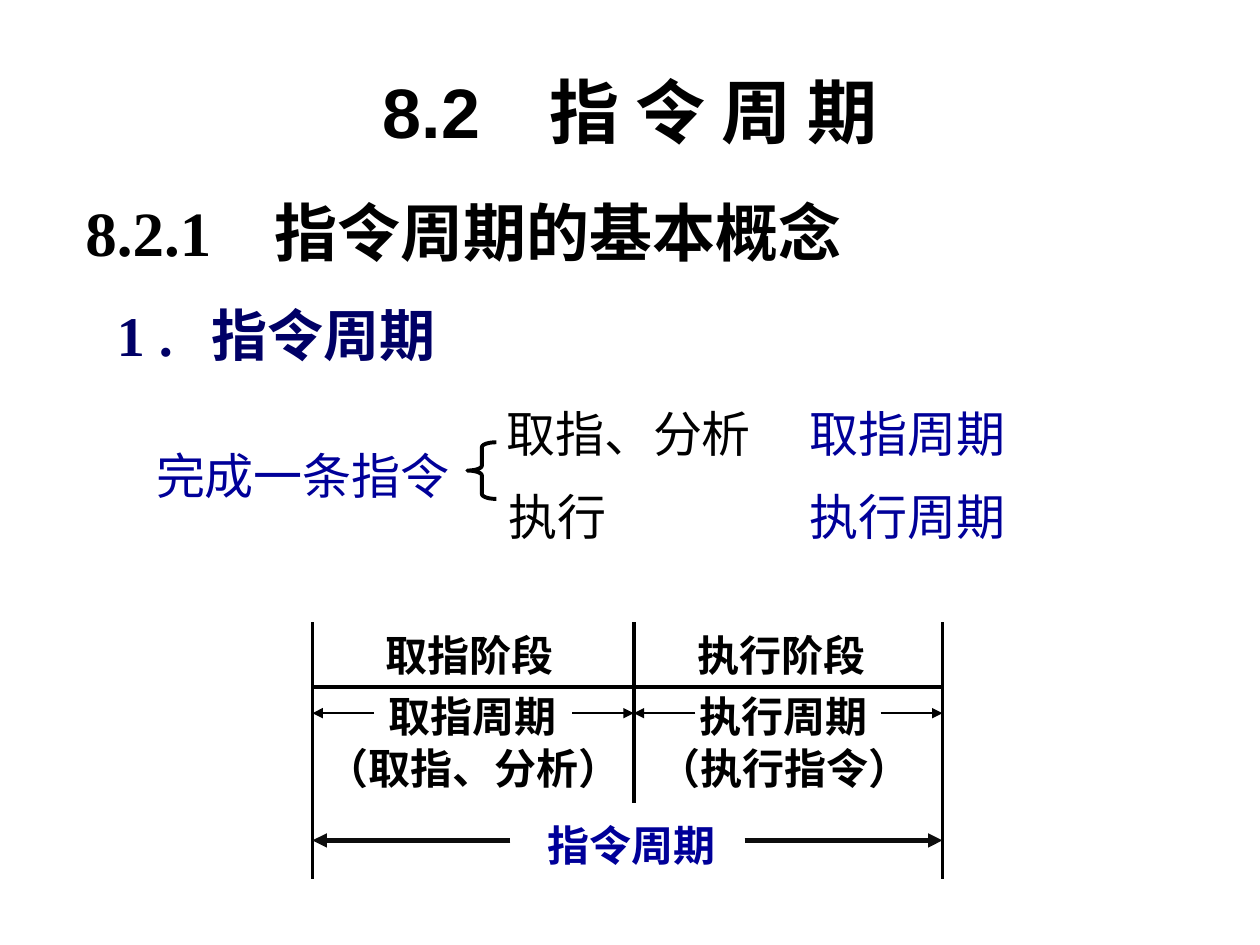
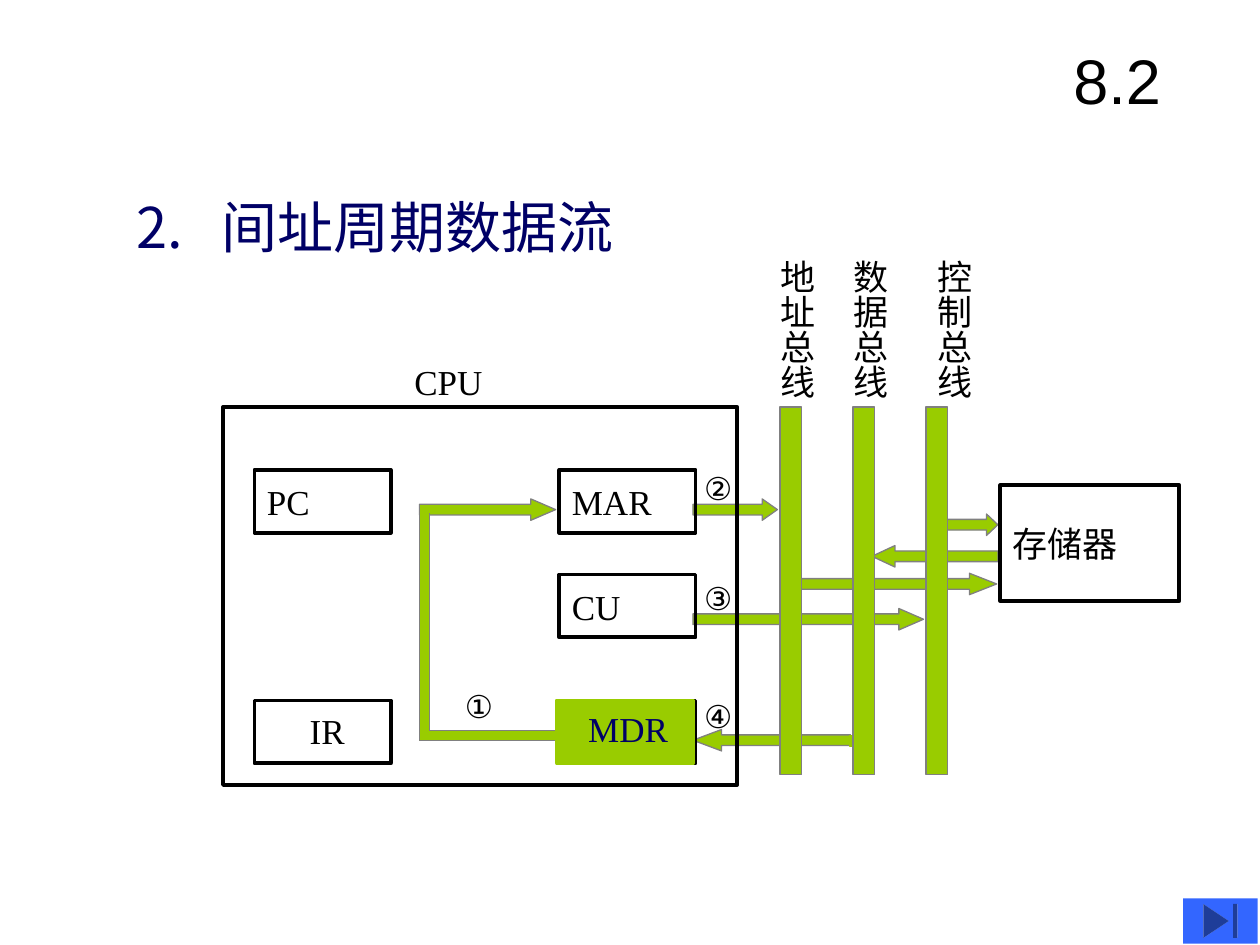
import pptx
import pptx.dml.color
import pptx.enum.shapes
import pptx.enum.text
import pptx.oxml
import pptx.oxml.ns
import pptx.util
from lxml import etree

Inches = pptx.util.Inches
Pt = pptx.util.Pt
SHAPE = pptx.enum.shapes.MSO_SHAPE
ALIGN = pptx.enum.text.PP_ALIGN
ANCHOR = pptx.enum.text.MSO_ANCHOR

BLACK, INK, NAVY, BLUE = "000000", "0D0D0D", "000066", "000099"
GREEN, GRAY, BRIGHT = "99CC00", "808080", "3366FF"
SERIF, SANS, HAN = "Times New Roman", "Arial", "Noto Sans CJK SC"
LEADING = 1.21
THIN, THICK = 0.75, 2.25


def color(code):
    return pptx.dml.color.RGBColor.from_string(code)


def child(parent, tag, **attrs):
    return etree.SubElement(parent, pptx.oxml.ns.qn(tag), attrs)


def write(shape, text, size=20, font=SERIF, ink=BLACK, bold=False,
          align=ALIGN.LEFT, anchor=ANCHOR.TOP, side=0.1, edge=0.05, tab=None):
    """Fill a shape with one formatted line; tab is a stop in inches."""
    frame = shape.text_frame
    frame.word_wrap = True
    frame.auto_size = pptx.enum.text.MSO_AUTO_SIZE.NONE
    frame.vertical_anchor = anchor
    frame.margin_left = frame.margin_right = Inches(side)
    frame.margin_top = frame.margin_bottom = Inches(edge)
    para = frame.paragraphs[0]
    para.alignment = align
    para.line_spacing = Pt(size * LEADING)
    if tab:
        stops = child(para._p.get_or_add_pPr(), "a:tabLst")
        child(stops, "a:tab", pos=str(Inches(tab)), algn="l")
    run = para.add_run()
    run.text = text
    run.font.size = Pt(size)
    run.font.bold = bold
    run.font.color.rgb = color(ink)
    run.font.name = font
    child(run._r.get_or_add_rPr(), "a:ea", typeface=HAN)
    return shape


def label(slide, text, box, **style):
    return write(slide.shapes.add_textbox(*map(Inches, box)), text, **style)


def title(slide, text, box, **style):
    shape = slide.shapes.title
    shape.left, shape.top, shape.width, shape.height = map(Inches, box)
    return write(shape, text, **style)


def block(slide, kind, box, fill=None, line=None, width=THIN, adjust=(), turn=0):
    """Add a preset shape; no fill or line colour means none is drawn."""
    shape = slide.shapes.add_shape(kind, *map(Inches, box))
    shape.shadow.inherit = False
    shape.rotation = turn
    for index, value in enumerate(adjust):
        shape.adjustments[index] = value
    if fill:
        shape.fill.solid()
        shape.fill.fore_color.rgb = color(fill)
    else:
        shape.fill.background()
    if line:
        shape.line.color.rgb = color(line)
        shape.line.width = Pt(width)
    else:
        shape.line.fill.background()
    return shape


def rule(slide, start, end, ink=BLACK, width=THICK, arrow=False):
    line = slide.shapes.add_connector(
        pptx.enum.shapes.MSO_CONNECTOR.STRAIGHT, *map(Inches, start + end))
    line.line.color.rgb = color(ink)
    line.line.width = Pt(width)
    if arrow:
        child(line.line._get_or_add_ln(), "a:tailEnd", type="triangle")
    child(line._element.spPr, "a:effectLst")


def steps(slide, x, y):
    """Brace that splits an instruction into its two steps."""
    label(slide, "完成一条指令", (x, y + 0.33, 3, 0.57), size=28, ink=BLUE)
    block(slide, SHAPE.LEFT_BRACE, (x + 2.57, y + 0.36, 0.23, 0.45),
          line=BLACK, width=THICK, adjust=(0.17, 0.5))
    rows = [("取指、分析", "取指周期", 2.78), ("执行", "执行周期", 2.8)]
    for index, (step, cycle, shift) in enumerate(rows):
        top = y + index * 0.66
        label(slide, step, (x + shift, top, 2.17, 0.57), size=28)
        label(slide, cycle, (x + 5.19, top, 2, 0.57), size=28, ink=BLUE)


def timing(slide, x, y):
    """Time line of the fetch and execute phases."""
    wide, mid, tall = 5, 2.55, 2.04
    style = dict(size=24, bold=True, align=ALIGN.CENTER, side=0.05)
    phases = [("取指阶段", "取指周期", "（取指、分析）", 1.26, 0, mid),
              ("执行阶段", "执行周期", "（执行指令）", 3.73, mid, wide)]
    for phase, cycle, detail, center, left, right in phases:
        for text, shift, drop, width in ((phase, -0.01, 0, 1.53),
                                         (cycle, 0.01, 0.49, 1.53),
                                         (detail, 0.02, 0.9, 2.53)):
            box = (x + center + shift - width / 2, y + drop, width, 0.5)
            label(slide, text, box, **style)
        for tip, tail in ((left, left + 0.49), (right, right - 0.49)):
            rule(slide, (x + tail, y + 0.72), (x + tip, y + 0.72),
                 width=THIN, arrow=True)
    rule(slide, (x, y + 0.51), (x + wide, y + 0.51))
    for shift, height in ((0, tall), (mid, 1.43), (wide, tall)):
        rule(slide, (x + shift, y), (x + shift, y + height))
    label(slide, "指令周期", (x + 1.77, y + 1.51, 1.53, 0.5), ink=BLUE, **style)
    for tail, tip in ((wide - 1.57, wide), (1.57, 0)):
        rule(slide, (x + tail, y + 1.73), (x + tip, y + 1.73),
             ink=INK, width=2.75, arrow=True)


def flows(slide, x, y):
    """Green arrows that carry data between registers, buses and memory."""
    arrows = [(5.15, 1.1, 1, 1.07, 180), (3.73, 1.6, 1.83, 1.15, 0),
              (3.73, 0.73, 0.67, 0.71, 0), (4.56, 1.32, 1.58, 1.27, 0),
              (3.73, 2.56, 1.25, 1.33, 180), (1.56, 0.73, 1.08, 1.16, 0),
              (5.65, 0.85, 0.5, 0.53, 0)]
    for left, top, width, head, turn in arrows:
        block(slide, SHAPE.RIGHT_ARROW, (x + left, y + top, width, 0.17),
              GREEN, GRAY, adjust=(0.5, head), turn=turn)
    parts = [(1.56, 2.57, 1.08, 0.08, GRAY), (1.56, 0.82, 0.08, 1.83, GRAY),
             (1.59, 2.58, 0.06, 0.06, GREEN), (1.57, 0.78, 0.14, 0.06, GREEN),
             (4.54, 1.36, 0.05, 0.08, GREEN), (4.97, 2.61, 0.05, 0.08, GREEN)]
    for left, top, width, height, line in parts:
        block(slide, SHAPE.RECTANGLE, (x + left, y + top, width, height),
              GREEN, line)


def buses(slide, x, y):
    names = [("地址总线", -0.18), ("数据总线", -0.18), ("控制总线", -0.09)]
    for index, (name, shift) in enumerate(names):
        left = x + index * 0.58
        block(slide, SHAPE.RECTANGLE, (left, y, 0.17, 2.92), GREEN, GRAY)
        text = label(slide, name, (left + shift, y - 1.17, 0.53, 1.22),
                     align=ALIGN.CENTER, side=0.05, edge=0)
        text.text_frame._txBody.bodyPr.set("vert", "eaVert")


def chip(slide, x, y):
    """Processor frame with its registers, and the memory beside it."""
    cells = [(None, 0, 0, 4.08, 3), ("PC", 0.25, 0.5, 1.08, 0.5),
             (None, 0.25, 2.33, 1.08, 0.5), ("MAR", 2.67, 0.5, 1.08, 0.5),
             ("CU", 2.67, 1.33, 1.08, 0.5), (None, 2.67, 2.33, 1.08, 0.5),
             ("存储器", 6.17, 0.62, 1.42, 0.92)]
    for name, left, top, width, height in cells:
        cell = block(slide, SHAPE.RECTANGLE, (x + left, y + top, width, height),
                     line=BLACK, width=THICK)
        if name:
            write(cell, name, anchor=ANCHOR.MIDDLE)
    label(slide, "CPU", (x + 1.42, y - 0.42, 0.74, 0.44))
    label(slide, "IR", (x + 0.59, y + 2.35, 0.48, 0.44))
    block(slide, SHAPE.RECTANGLE, (x + 2.65, y + 2.33, 1.08, 0.5),
          GREEN, GREEN, THICK)
    active = block(slide, SHAPE.RECTANGLE, (x + 2.8, y + 2.33, 0.83, 0.44),
                   GREEN, GREEN)
    write(active, "MDR", ink=NAVY, align=ALIGN.CENTER, side=0)


def marks(slide, x, y):
    """Numbers that give the order of the flows."""
    for text, left, top in (("①", 1.82, 2.17), ("②", 3.72, 0.44),
                            ("③", 3.72, 1.31), ("④", 3.72, 2.25)):
        label(slide, text, (x + left, y + top, 0.45, 0.4), size=18, font=SANS)


def concept(slide):
    title(slide, "8.2　指 令 周 期", (0.75, 0.25, 8.5, 1.25), size=40, font=SANS,
          bold=True, align=ALIGN.CENTER, anchor=ANCHOR.MIDDLE)
    label(slide, "8.2.1\t指令周期的基本概念", (0.58, 1.48, 6.25, 0.7),
          size=36, bold=True, tab=1.5)
    label(slide, "1 .\t指令周期", (0.83, 2.33, 6.25, 0.64),
          size=32, ink=NAVY, bold=True, tab=0.75)
    steps(slide, 1.14, 3.15)
    timing(slide, 2.48, 4.94)


def dataflow(slide):
    title(slide, "2.\t间址周期数据流", (0.98, 1.47, 6.25, 0.64),
          size=32, font=HAN, ink=NAVY, tab=0.68)
    left, top = 1.77, 3.23
    flows(slide, left, top)
    buses(slide, left + 4.42, top)
    chip(slide, left, top)
    block(slide, SHAPE.ACTION_BUTTON_END, (9.39, 7.13, 0.59, 0.36), BRIGHT)
    label(slide, "8.2", (8.42, 0.17, 1.25, 0.92), size=36, font=SANS,
          anchor=ANCHOR.MIDDLE)
    marks(slide, left, top)


def main():
    deck = pptx.Presentation()
    deck.slide_width, deck.slide_height = Inches(10), Inches(7.5)
    for build in (concept, dataflow):
        build(deck.slides.add_slide(deck.slide_layouts[5]))
    deck.save("out.pptx")


if __name__ == "__main__":
    main()
